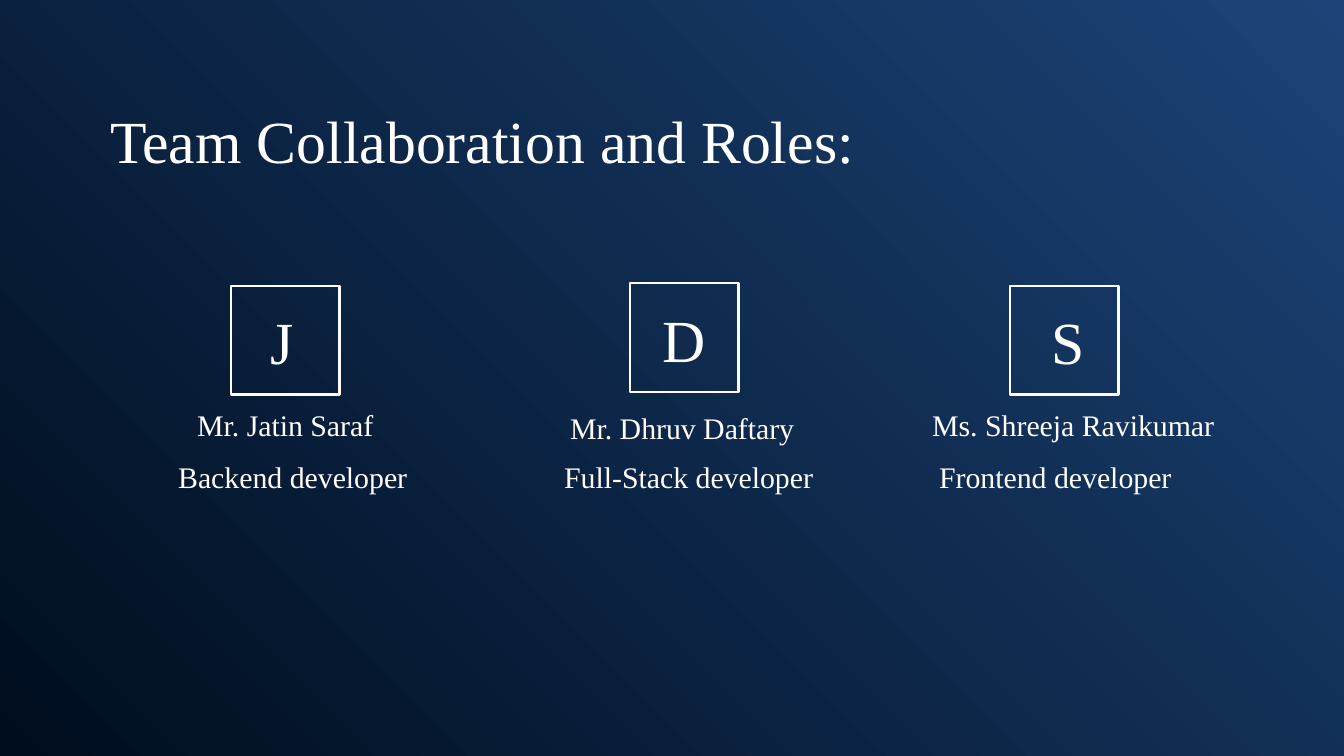
from pptx import Presentation
from pptx.dml.color import RGBColor as RGB
from pptx.enum.shapes import MSO_SHAPE as SHAPE
from pptx.enum.text import MSO_AUTO_SIZE as FIT
from pptx.util import Pt

PX = 6804  # EMU per px, 134.4 px to the inch
C = {"white": "FFFFFF", "top": "1C4478", "bottom": "000D1E"}
WHITE = RGB.from_string(C["white"])

prs = Presentation()
prs.slide_width, prs.slide_height = 1344 * PX, 756 * PX
s = prs.slides.add_slide(prs.slide_layouts[6])


def add_text(text, x, y, w, h, size):
    tf = s.shapes.add_textbox(x * PX, y * PX, w * PX, h * PX).text_frame
    tf.word_wrap = True
    tf.auto_size = FIT.SHAPE_TO_FIT_TEXT
    r = tf.paragraphs[0].add_run()
    r.text = text
    for key, value in {"name": "Times New Roman", "size": Pt(size)}.items():
        setattr(r.font, key, value)
    r.font.color.rgb = WHITE


# Background: light at top right, dark at bottom left
fill = s.background.fill
fill.gradient()
fill.gradient_angle = 225
for stop, name, pos in zip(fill.gradient_stops, ("top", "bottom"), (0, 1)):
    stop.color.rgb = RGB.from_string(C[name])
    stop.position = pos

# Title
add_text("Team Collaboration and Roles:", 97, 97, 822, 118, 32)

# Members: square (x, y), then initial, name and role (text, x, y, width)
members = [
    ((231, 286), ("J", 257, 298, 56),
     ("Mr. Jatin Saraf", 184, 400, 222), ("Backend developer", 165, 452, 278)),
    ((630, 283), ("D", 649, 296, 51),
     ("Mr. Dhruv Daftary", 557, 403, 255), ("Full-Stack developer", 551, 452, 278)),
    ((1010, 286), ("S", 1039, 298, 26),
     ("Ms. Shreeja Ravikumar", 919, 400, 323), ("Frontend developer", 926, 452, 278)),
]
SIDE = 109
for (x, y), initial, name, role in members:
    sp = s.shapes.add_shape(SHAPE.RECTANGLE, x * PX, y * PX, SIDE * PX, SIDE * PX)
    sp.shadow.inherit = False
    sp.fill.background()
    sp.line.color.rgb = WHITE
    sp.line.width = Pt(1.5)
    add_text(*initial, 86, 32)
    add_text(*name, 50, 16)
    add_text(*role, 50, 16)

prs.save("out.pptx")
